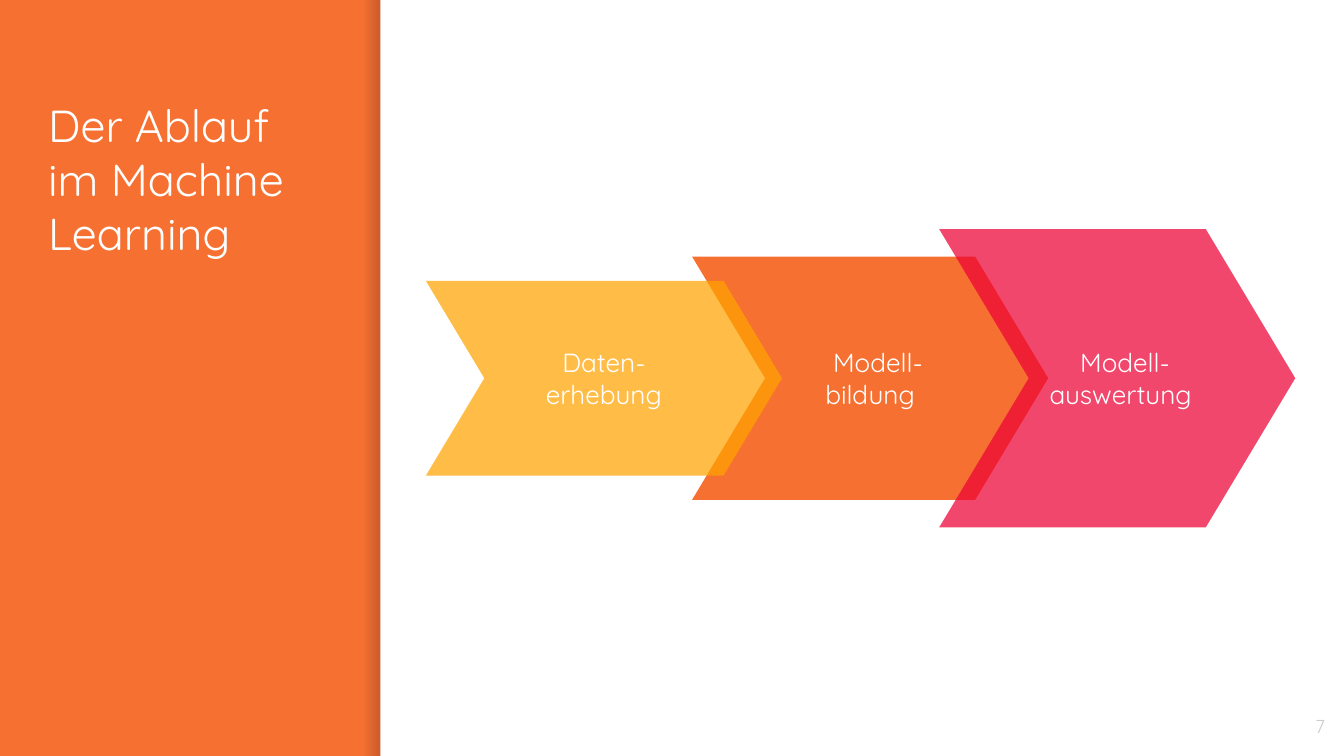
from lxml.etree import SubElement
from pptx import Presentation
from pptx.dml.color import RGBColor
from pptx.enum.shapes import MSO_SHAPE
from pptx.enum.text import MSO_ANCHOR, PP_ALIGN
from pptx.oxml.ns import qn
from pptx.util import Cm, Pt

FONT = "Quicksand"
ORANGE = RGBColor(0xF6, 0x70, 0x31)
PINK = RGBColor(0xED, 0x00, 0x36)
YELLOW = RGBColor(0xFF, 0xA4, 0x00)
WHITE = RGBColor(0xFF, 0xFF, 0xFF)
GREY = RGBColor(0xCC, 0xCC, 0xCC)
SHADE = RGBColor(0x00, 0x00, 0x14)

SLIDE_WIDTH, SLIDE_HEIGHT = 25.4, 14.29
PANEL_LEFT = 7.19
SHADE_WIDTH = 0.32
STEP_WIDTH = 6.73
STEP_MIDDLE = 7.15

# Left edge, height, colour, opacity in percent, lines as (text, first-line indent)
STEPS = [
    (13.08, 4.6, ORANGE, 100, [("Modell-bildung", 0.3)]),
    (17.75, 5.64, PINK, 72, [("Modell-", 0.3), ("auswertung", 0.13)]),
    (8.05, 3.68, YELLOW, 72, [("Daten-", 0), ("erhebung", 0)]),
]


def set_opacity(shape, percents):
    """Give each colour of the shape's fill its opacity."""
    colours = list(shape._element.spPr.iter(qn("a:srgbClr")))
    for colour, percent in zip(colours, percents):
        SubElement(colour, qn("a:alpha")).set("val", str(percent * 1000))


def add_shape(slide, kind, left, top, width, height):
    shape = slide.shapes.add_shape(kind, Cm(left), Cm(top), Cm(width), Cm(height))
    shape.shadow.inherit = False
    shape.line.fill.background()
    return shape


def fill_solid(shape, colour):
    shape.fill.solid()
    shape.fill.fore_color.rgb = colour


def write_lines(shape, lines, size, colour, align, anchor):
    frame = shape.text_frame
    frame.word_wrap = True
    frame.vertical_anchor = anchor
    frame.margin_left = frame.margin_right = Cm(0.25)
    frame.margin_top = frame.margin_bottom = Cm(0.25)
    frame.text = "\n".join(text for text, _ in lines)
    for para, (_, indent) in zip(frame.paragraphs, lines):
        para.alignment = align
        if indent:
            properties = para._p.get_or_add_pPr()
            properties.set("marL", "0")
            properties.set("indent", str(Cm(indent)))
        for span in para.runs:
            span.font.name = FONT
            span.font.size = Pt(size)
            span.font.color.rgb = colour


def add_label(slide, left, top, width, height, text, size, colour, align, anchor):
    box = slide.shapes.add_textbox(Cm(left), Cm(top), Cm(width), Cm(height))
    write_lines(box, [(text, 0)], size, colour, align, anchor)


def add_panel(slide):
    shade = add_shape(slide, MSO_SHAPE.RECTANGLE, PANEL_LEFT - SHADE_WIDTH, 0,
                      SHADE_WIDTH, SLIDE_HEIGHT)
    shade.fill.gradient()
    shade.fill.gradient_angle = 0
    for stop in shade.fill.gradient_stops:
        stop.color.rgb = SHADE
    set_opacity(shade, [0, 20])

    panel = add_shape(slide, MSO_SHAPE.RECTANGLE, PANEL_LEFT, 0,
                      SLIDE_WIDTH - PANEL_LEFT, SLIDE_HEIGHT)
    fill_solid(panel, WHITE)


def add_step(slide, left, height, colour, opacity, lines):
    step = add_shape(slide, MSO_SHAPE.CHEVRON, left, STEP_MIDDLE - height / 2,
                     STEP_WIDTH, height)
    step.adjustments[0] = 0.3
    fill_solid(step, colour)
    if opacity < 100:
        set_opacity(step, [opacity])
    write_lines(step, lines, 14, WHITE, PP_ALIGN.CENTER, MSO_ANCHOR.MIDDLE)


def main():
    deck = Presentation()
    deck.slide_width, deck.slide_height = Cm(SLIDE_WIDTH), Cm(SLIDE_HEIGHT)
    slide = deck.slides.add_slide(deck.slide_layouts[6])

    # Orange side with a white panel next to it
    slide.background.fill.solid()
    slide.background.fill.fore_color.rgb = ORANGE
    add_panel(slide)

    # Title and page number
    add_label(slide, 0.66, 1.6, 5.69, 11.05, "Der Ablauf im Machine Learning",
              24, WHITE, PP_ALIGN.LEFT, MSO_ANCHOR.TOP)
    add_label(slide, 23.77, 13.18, 1.52, 1.09, "7",
              10, GREY, PP_ALIGN.RIGHT, MSO_ANCHOR.MIDDLE)

    # Process steps, from back to front
    for step in STEPS:
        add_step(slide, *step)

    deck.save("out.pptx")


if __name__ == "__main__":
    main()
